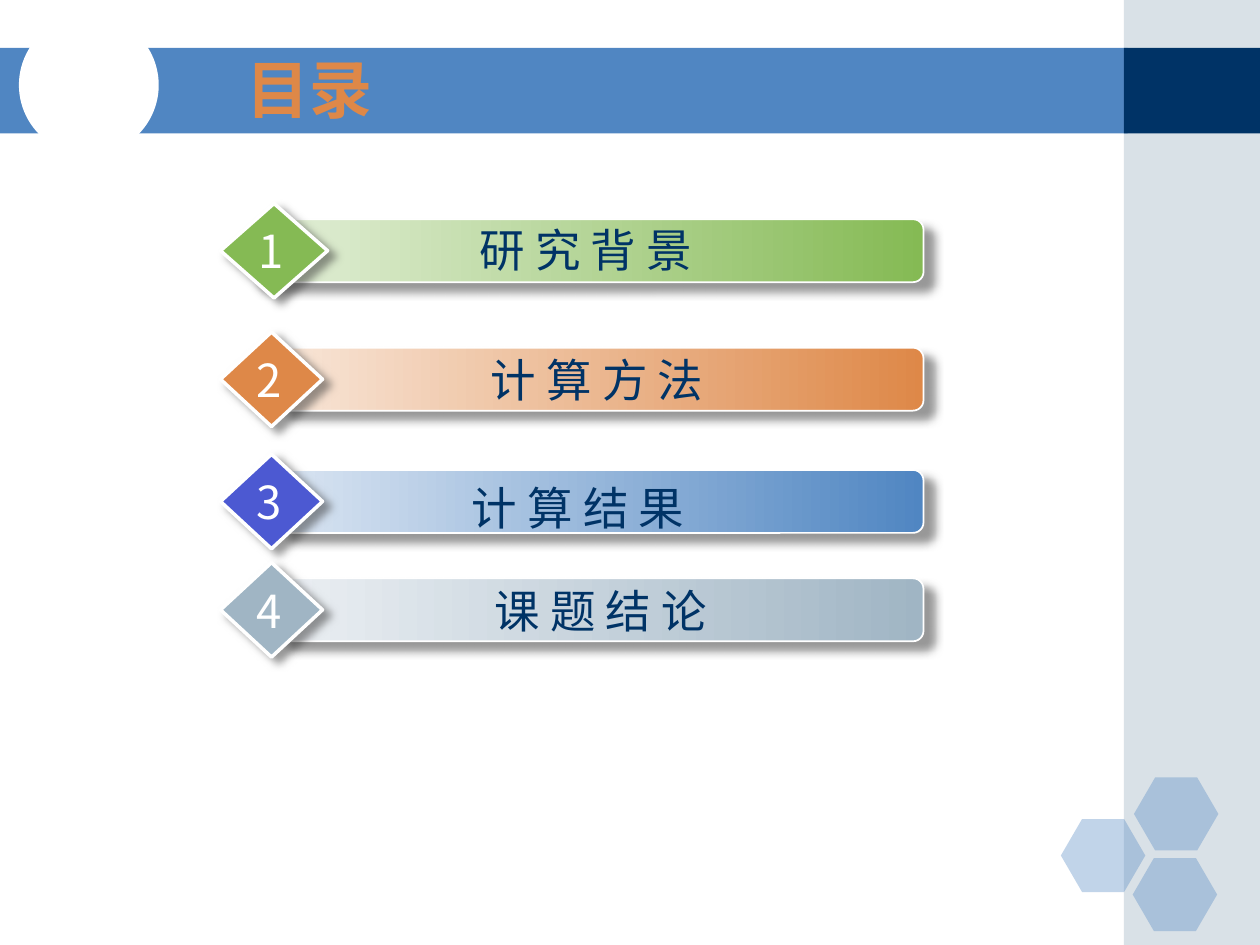
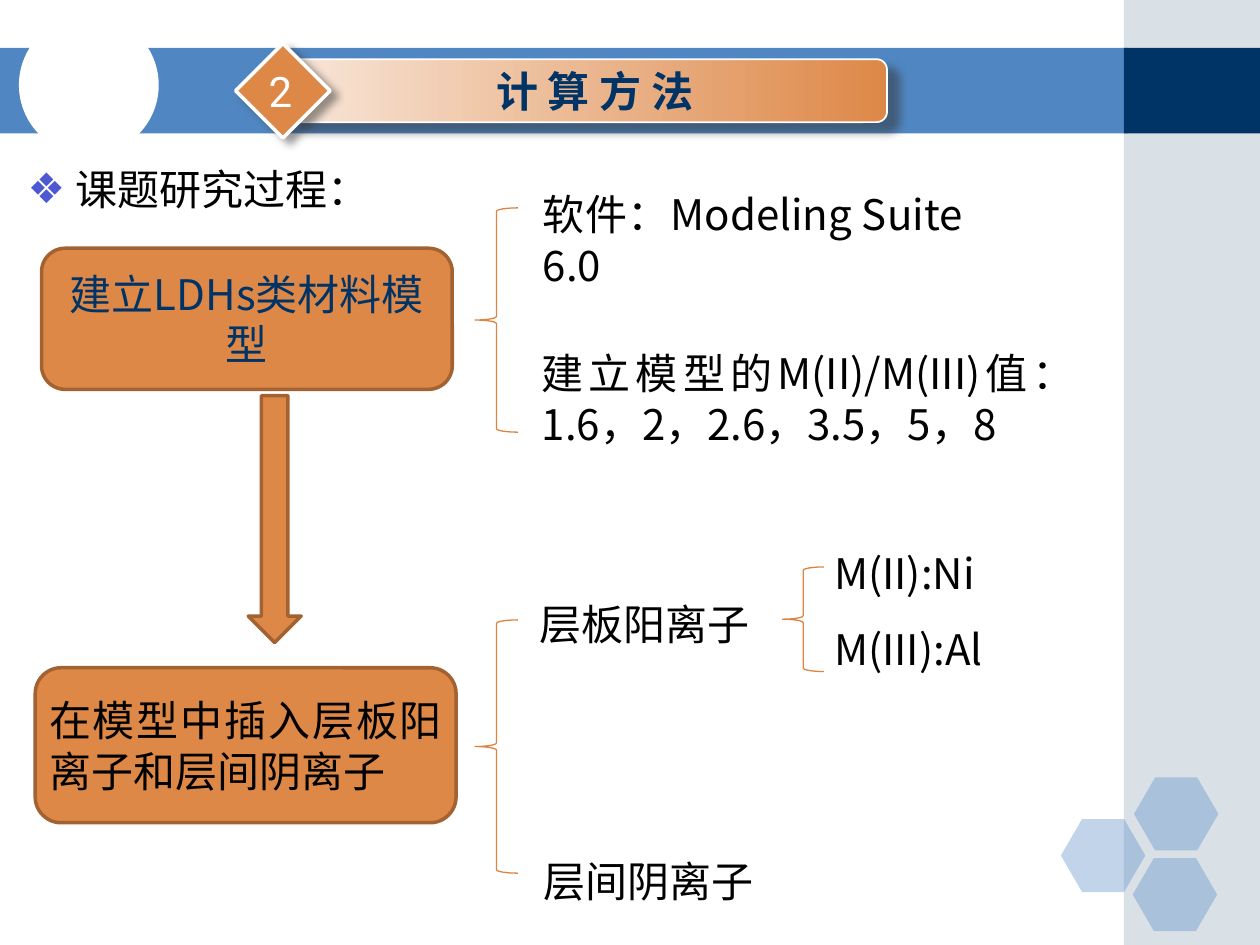
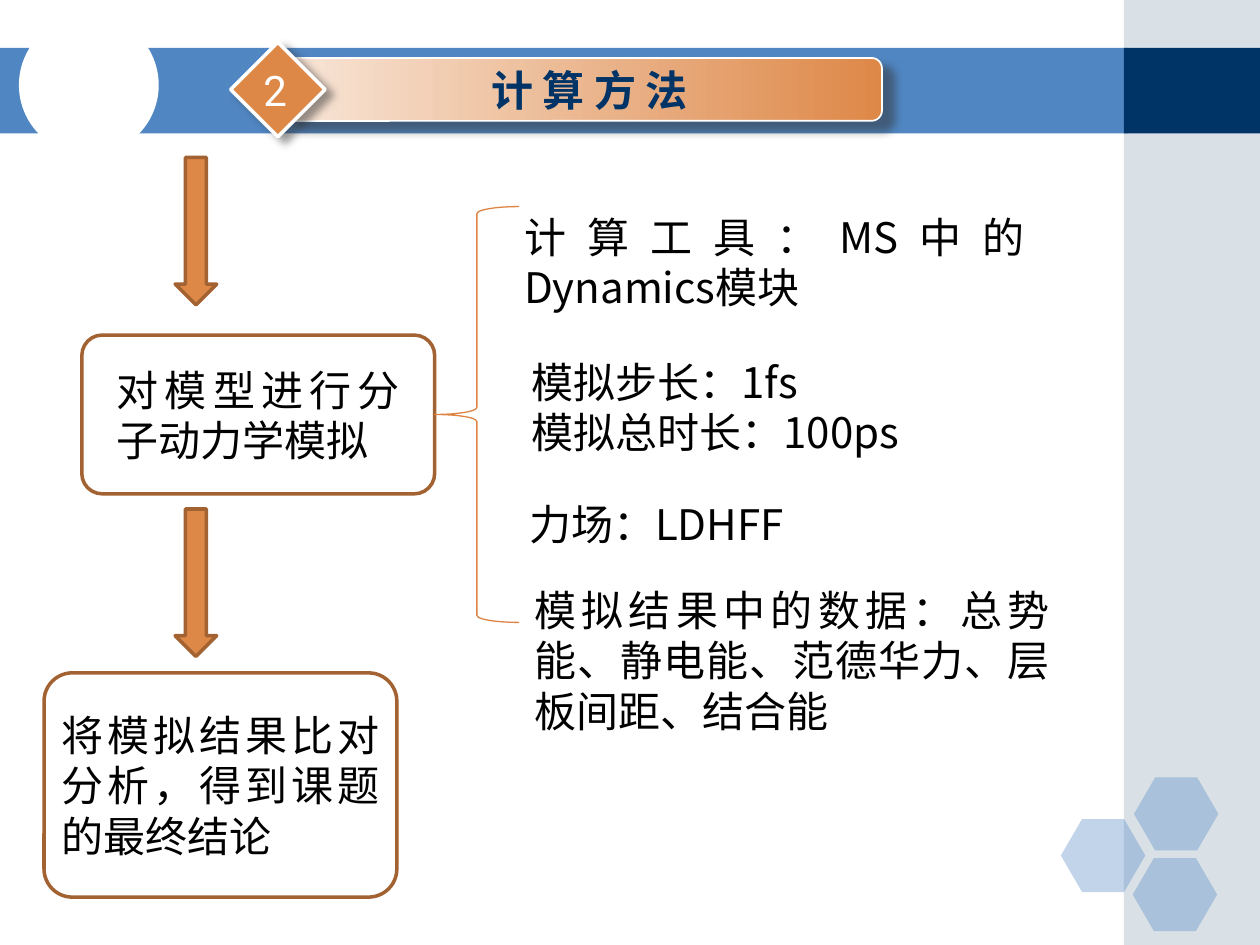
from dataclasses import dataclass

import pptx
import pptx.dml.color
import pptx.enum.shapes
import pptx.enum.text
import pptx.oxml.ns
import pptx.util
from lxml import etree

Inches, Pt = pptx.util.Inches, pptx.util.Pt
SHAPE = pptx.enum.shapes.MSO_SHAPE
ALIGN = pptx.enum.text.PP_ALIGN
ANCHOR = pptx.enum.text.MSO_ANCHOR
qn = pptx.oxml.ns.qn


@dataclass(frozen=True)
class Theme:
    font: str = "Noto Sans CJK SC"
    number_font: str = "Roboto"
    blue: str = "5086C2"
    navy: str = "003366"
    slate: str = "A0B5C4"
    green: str = "85BA54"
    orange: str = "DE8848"
    indigo: str = "4C59D2"
    brown: str = "A36232"
    brace: str = "DD8443"
    shadow: str = "333333"
    white: str = "FFFFFF"
    black: str = "000000"
    title_size: int = 36
    agenda_size: int = 26
    body_size: int = 24
    line_pitch: float = 1.2


THEME = Theme()
PALE = {THEME.green: "E5F0DB", THEME.orange: "F8E6D8",
        THEME.blue: "DAE5F2", THEME.slate: "EBEFF3"}

# label, bar colour, diamond colour, diamond width, bar left, middle, label centre, label drop
AGENDA_TITLE = "目录"
AGENDA = [
    ("研 究 背 景", THEME.green, THEME.green, 0.85, 1.98, 1.99, 4.65, -0.01),
    ("计 算 方 法", THEME.orange, THEME.orange, 0.81, 2.2, 3.01, 4.74, 0),
    ("计 算 结 果", THEME.blue, THEME.indigo, 0.81, 2.2, 3.98, 4.59, 0.05),
    ("课 题 结 论", THEME.slate, THEME.slate, 0.81, 2.2, 4.84, 4.77, 0),
]
AGENDA_LEFT, AGENDA_RIGHT = 1.75, 7.33

SECTION_NUMBER, SECTION_TITLE = "2", "计 算 方 法"

# Boxes: text, left/top/width/height, corner, side inset, fill, text colour, alignment
# Notes: lines, left/top/width/height
MODEL_SLIDE = {
    "banner": (1.87, 0.72),
    "lead": "课题研究过程：",
    "boxes": [
        ("建立LDHs类材料模型", (0.33, 1.97, 3.26, 1.12), 0.167, 0.05,
         THEME.orange, THEME.navy, ALIGN.CENTER),
        ("在模型中插入层板阳离子和层间阴离子", (0.28, 5.3, 3.34, 1.23), 0.167, 0.05,
         THEME.orange, THEME.black, ALIGN.JUSTIFY),
    ],
    "arrows": [(1.97, 3.14, 0.42, 1.96)],
    "braces": [(3.77, 1.65, 0.34, 1.78), (3.77, 4.92, 0.34, 2.01), (6.21, 4.5, 0.33, 0.83)],
    "notes": [
        (["软件：Modeling Suite 6.0"], (4.26, 1.45, 3.43, 0.96)),
        (["建立模型的M(II)/M(III)值：1.6，2，2.6，3.5，5，8"], (4.25, 2.71, 4.33, 1.31)),
        (["层板阳离子"], (4.23, 4.7, 1.83, 0.56)),
        (["M(II):Ni"], (6.57, 4.3, 1.54, 0.5)),
        (["M(III):Al"], (6.57, 4.9, 1.86, 0.5)),
        (["层间阴离子"], (4.26, 6.74, 1.79, 0.56)),
    ],
}
SIMULATION_SLIDE = {
    "banner": (1.83, 0.71),
    "lead": None,
    "boxes": [
        ("对模型进行分子动力学模拟", (0.65, 2.66, 2.8, 1.26), 0.128, 0.23,
         THEME.white, THEME.black, ALIGN.JUSTIFY),
        ("将模拟结果比对分析，得到课题的最终结论", (0.35, 5.34, 2.8, 1.78), 0.126, 0.07,
         THEME.white, THEME.black, ALIGN.JUSTIFY),
    ],
    "arrows": [(1.39, 1.25, 0.33, 1.17), (1.39, 4.04, 0.33, 1.17)],
    "braces": [(3.45, 1.64, 0.67, 3.3)],
    "notes": [
        (["计算工具：MS中的Dynamics模块"], (4.11, 1.63, 4.07, 1.02)),
        (["模拟步长：1fs", "模拟总时长：100ps"], (4.17, 2.78, 3.54, 1.02)),
        (["力场：LDHFF"], (4.15, 3.91, 3.12, 0.56)),
        (["模拟结果中的数据：总势能、静电能、范德华力、层板间距、结合能"],
         (4.19, 4.59, 4.19, 1.47)),
    ],
}

# preset, left/top/width/height, colour, opacity in percent
DECORATION = [
    (SHAPE.RECTANGLE, (0, 0.38, 8.95, 0.68), THEME.blue, 100),
    (SHAPE.RECTANGLE, (8.92, 0, 1.08, 7.5), THEME.slate, 40),
    (SHAPE.RECTANGLE, (8.92, 0.38, 1.08, 0.68), THEME.navy, 100),
    (SHAPE.HEXAGON, (8.42, 6.5, 0.67, 0.58), THEME.blue, 35),
    (SHAPE.HEXAGON, (9, 6.17, 0.67, 0.58), THEME.blue, 35),
    (SHAPE.HEXAGON, (8.99, 6.81, 0.67, 0.58), THEME.blue, 35),
    (SHAPE.OVAL, (0.15, 0.12, 1.11, 1.11), THEME.white, 100),
]


def rgb(color):
    return pptx.dml.color.RGBColor.from_string(color)


def add_shape(slide, preset, box, fill=None, line=None, line_width=2, corner=None):
    shape = slide.shapes.add_shape(preset, *map(Inches, box))
    shape.shadow.inherit = False
    if corner is not None:
        shape.adjustments[0] = corner
    if fill:
        shape.fill.solid()
        shape.fill.fore_color.rgb = rgb(fill)
    else:
        shape.fill.background()
    if line:
        shape.line.color.rgb = rgb(line)
        shape.line.width = Pt(line_width)
    else:
        shape.line.fill.background()
    return shape


def set_opacity(shape, percent):
    color = shape.element.spPr.find(qn("a:solidFill"))[0]
    etree.SubElement(color, qn("a:alpha"), val=str(percent * 1000))


def cast_shadow(shape, distance, degrees):
    effects = shape.element.spPr.find(qn("a:effectLst"))
    shadow = etree.SubElement(effects, qn("a:outerShdw"), blurRad=str(Pt(5)),
                              dist=str(Pt(distance)), dir=str(degrees * 60000),
                              algn="ctr", rotWithShape="0")
    color = etree.SubElement(shadow, qn("a:srgbClr"), val=THEME.shadow)
    etree.SubElement(color, qn("a:alpha"), val="50000")


def write(shape, lines, size, color, align=ALIGN.LEFT, anchor=ANCHOR.TOP, bold=False,
          font=THEME.font, side=0.05, wrap=True):
    frame = shape.text_frame
    frame.text = "\n".join(lines)
    frame.auto_size = pptx.enum.text.MSO_AUTO_SIZE.NONE
    frame.word_wrap = wrap
    frame.vertical_anchor = anchor
    frame.margin_left = frame.margin_right = Inches(side)
    frame.margin_top = frame.margin_bottom = Inches(0.05)
    for paragraph in frame.paragraphs:
        paragraph.alignment = align
        paragraph.line_spacing = Pt(size * THEME.line_pitch)
        paragraph._p.get_or_add_pPr().set("hangingPunct", "0")
        for run in paragraph.runs:
            run.font.size, run.font.bold, run.font.name = Pt(size), bold, font
            run.font.color.rgb = rgb(color)
            etree.SubElement(run._r.get_or_add_rPr(), qn("a:ea"), typeface=THEME.font)


def place(shape, box):
    shape.left, shape.top, shape.width, shape.height = map(Inches, box)


def add_banner(slide, number, left, middle, diamond_width, bar, colors, size, font):
    """Draw a shaded bar, given as (left, width), with a numbered diamond at its start."""
    bar_color, diamond_color = colors
    strip = add_shape(slide, SHAPE.ROUNDED_RECTANGLE, (bar[0], middle - 0.25, bar[1], 0.5),
                      bar_color, THEME.white, 1, 0.167)
    strip.fill.gradient()
    strip.fill.gradient_angle = 0
    for stop, position, color in zip(strip.fill.gradient_stops, (0, 1),
                                     (PALE[bar_color], bar_color)):
        stop.position = position
        stop.color.rgb = rgb(color)
    cast_shadow(strip, 7.8, 40)
    diamond = add_shape(slide, SHAPE.DIAMOND, (left, middle - 0.375, diamond_width, 0.75),
                        diamond_color, THEME.white)
    cast_shadow(diamond, 5, 37)
    write(diamond, [number], size, THEME.white, ALIGN.CENTER, ANCHOR.MIDDLE,
          font=font, side=0, wrap=False)
    diamond.text_frame.margin_right = Inches(0.04)


def write_banner_label(shape, text, center, middle, size, bold=False):
    place(shape, (center - 1.2, middle - 0.3, 2.4, 0.6))
    write(shape, [text], size, THEME.navy, ALIGN.CENTER, ANCHOR.MIDDLE, bold)


def decorate_master(presentation, slide):
    """Draw the shared shapes on a slide, then move them behind the master's placeholders."""
    tree = presentation.slide_master.shapes.element
    for index, (preset, box, color, opacity) in enumerate(DECORATION):
        shape = add_shape(slide, preset, box, color)
        if preset == SHAPE.HEXAGON:
            shape.adjustments[0] = 0.29
        set_opacity(shape, opacity)
        shape.element.find(qn("p:nvSpPr")).find(qn("p:cNvPr")).set("id", str(100 + index))
        tree.insert(2 + index, shape.element)


def fill_agenda(slide):
    title = slide.shapes.title
    place(title, (1.91, 0.08, 8, 1.25))
    write(title, [AGENDA_TITLE], THEME.title_size, THEME.orange, anchor=ANCHOR.MIDDLE, bold=True)
    for number, row in enumerate(AGENDA, start=1):
        label, bar_color, diamond_color, width, bar_left, middle, center, drop = row
        add_banner(slide, str(number), AGENDA_LEFT, middle, width,
                   (bar_left, AGENDA_RIGHT - bar_left), (bar_color, diamond_color),
                   THEME.agenda_size, THEME.font)
        write_banner_label(slide.shapes.add_textbox(0, 0, 0, 0), label, center,
                           middle + drop, THEME.agenda_size)


def fill_lead(body, text):
    place(body, (0.17, 1.25, 8.7, 0.55))
    write(body, [text], THEME.body_size, THEME.black)
    paragraph = body.text_frame.paragraphs[0]
    paragraph.space_before = Pt(5)
    properties = paragraph._p.get_or_add_pPr()
    properties.set("marL", str(Inches(0.38)))
    properties.set("indent", str(Inches(-0.38)))
    bullet_color = etree.SubElement(properties, qn("a:buClr"))
    etree.SubElement(bullet_color, qn("a:srgbClr"), val=THEME.indigo)
    etree.SubElement(properties, qn("a:buChar"), char="❖")


def fill_method(slide, content):
    left, middle = content["banner"]
    add_banner(slide, SECTION_NUMBER, left, middle, 0.75, (left + 0.42, 4.75),
               (THEME.orange, THEME.orange), THEME.body_size, THEME.number_font)
    title = slide.shapes.title
    write_banner_label(title, SECTION_TITLE, left + 2.85, middle, THEME.body_size, True)
    slide.shapes.element.append(title.element)
    if content["lead"]:
        fill_lead(slide.placeholders[1], content["lead"])
    for text, box, corner, side, fill, color, align in content["boxes"]:
        step = add_shape(slide, SHAPE.ROUNDED_RECTANGLE, box, fill, THEME.brown, corner=corner)
        write(step, [text], THEME.body_size, color, align, ANCHOR.MIDDLE, side=side)
    for box in content["arrows"]:
        add_shape(slide, SHAPE.DOWN_ARROW, box, THEME.orange, THEME.brown)
    for box in content["braces"]:
        add_shape(slide, SHAPE.LEFT_BRACE, box, line=THEME.brace, line_width=0.75)
    for lines, box in content["notes"]:
        note = slide.shapes.add_textbox(*map(Inches, box))
        write(note, lines, THEME.body_size, THEME.black, ALIGN.JUSTIFY)


def main():
    presentation = pptx.Presentation()
    presentation.slide_width, presentation.slide_height = Inches(10), Inches(7.5)
    title_and_body, title_only = presentation.slide_layouts[1], presentation.slide_layouts[5]

    agenda = presentation.slides.add_slide(title_only)
    decorate_master(presentation, agenda)
    fill_agenda(agenda)
    for content in (MODEL_SLIDE, SIMULATION_SLIDE):
        layout = title_and_body if content["lead"] else title_only
        fill_method(presentation.slides.add_slide(layout), content)
    presentation.save("out.pptx")


if __name__ == "__main__":
    main()
